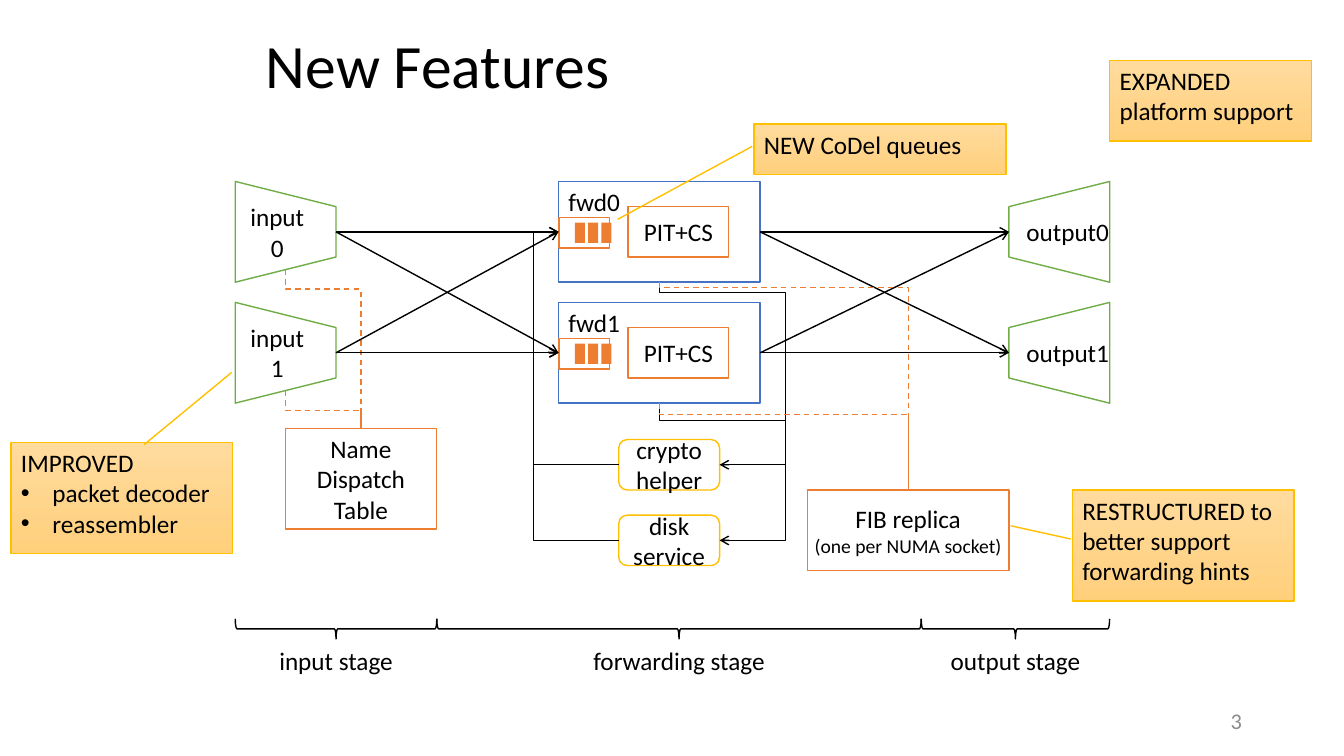
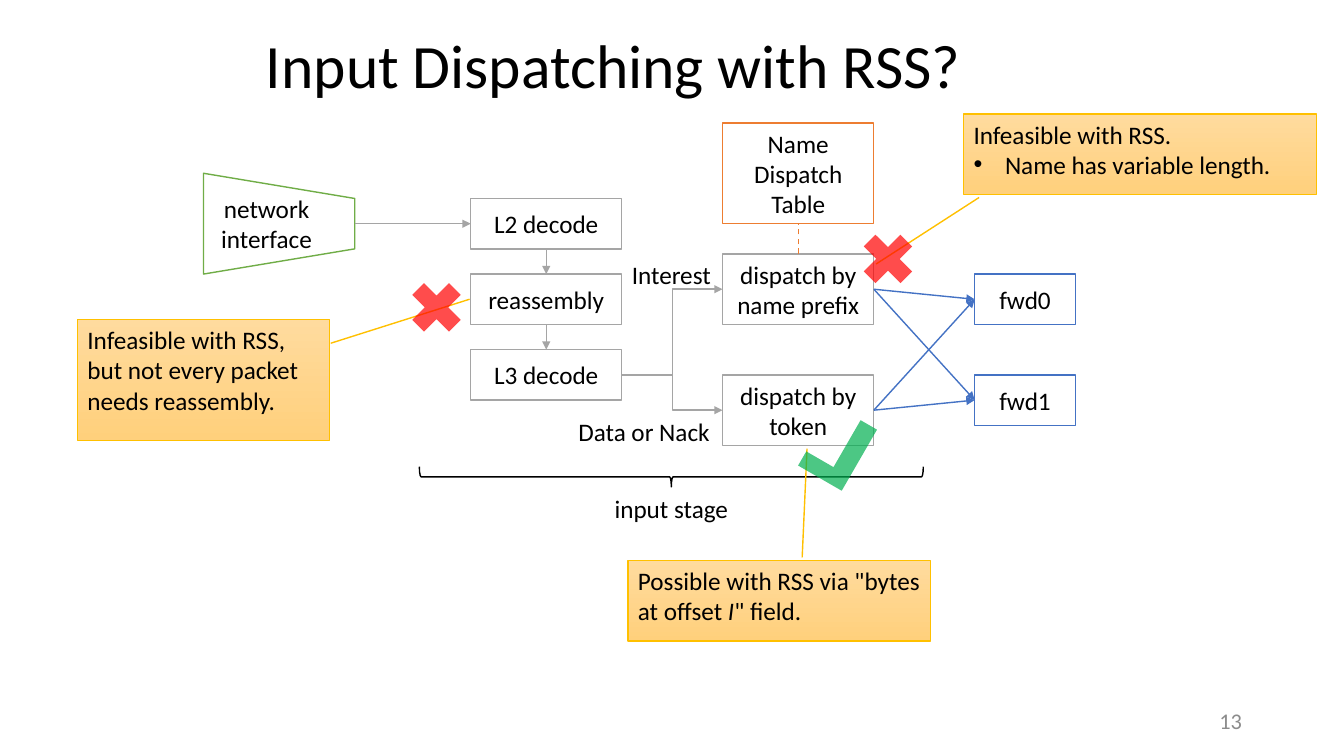
from collections import namedtuple
from dataclasses import dataclass

from lxml.etree import SubElement
from pptx import Presentation
from pptx.dml.color import RGBColor
from pptx.enum.dml import MSO_LINE
from pptx.enum.shapes import MSO_CONNECTOR, MSO_SHAPE
from pptx.enum.text import MSO_ANCHOR, MSO_AUTO_SIZE, PP_ALIGN
from pptx.oxml.ns import qn
from pptx.util import Pt

COLORS = {
    "black": "000000", "white": "FFFFFF", "number": "8C8C8C", "gray": "A5A5A5",
    "green": "70AD47", "orange": "ED7D31", "blue": "4472C4", "gold": "FFC000",
    "note_top": "FFDB9E", "note_bottom": "FFD07C", "wrong": "FF0000", "right": "00B050",
}
FONT = "Calibri"
TOP, LEFT, BOTTOM, RIGHT = range(4)
TOP_LEFT = {"align": PP_ALIGN.LEFT, "anchor": MSO_ANCHOR.TOP}

Box = namedtuple("Box", "left top width height")
End = namedtuple("End", "x y shape side", defaults=(None, 0))
Span = namedtuple("Span", "text italic", defaults=(False,))


@dataclass
class Para:
    spans: tuple
    size: float = 18
    bullet: bool = False


def rgb(name: str) -> RGBColor:
    return RGBColor.from_string(COLORS[name])


def write(shape, text, *, size=18, color="black", align=PP_ALIGN.CENTER,
          anchor=MSO_ANCHOR.MIDDLE, wrap=True, vertical=None, spacing=None, inset=7.2):
    """Fill a shape with one string, or with a list of strings and Paras."""
    frame = shape.text_frame
    frame.word_wrap = wrap
    frame.vertical_anchor = anchor
    frame.margin_left = Pt(inset)
    if vertical:
        shape.element.find(".//" + qn("a:bodyPr")).set("vert", vertical)
    for index, item in enumerate([text] if isinstance(text, str) else text):
        source = Para((Span(item),), size) if isinstance(item, str) else item
        para = frame.add_paragraph() if index else frame.paragraphs[0]
        para.alignment = align
        if spacing:
            para.line_spacing = spacing
        if source.bullet:
            properties = para._p.get_or_add_pPr()
            properties.set("marL", str(int(Pt(22.5))))
            properties.set("indent", str(-int(Pt(22.5))))
            SubElement(properties, qn("a:buFont")).set("typeface", "Arial")
            SubElement(properties, qn("a:buChar")).set("char", "•")
        for span in source.spans:
            run = para.add_run()
            run.text = span.text
            run.font.name = FONT
            run.font.size = Pt(source.size)
            run.font.italic = span.italic
            run.font.color.rgb = rgb(color)


def add_label(page, box: Box, text: str, **text_format):
    label = page.shapes.add_textbox(*map(Pt, box))
    write(label, text, **text_format)
    return label


def add_figure(page, box: Box, text=None, *, kind=MSO_SHAPE.RECTANGLE, fill="white",
               line=None, rotation=0, opacity=None, **text_format):
    """Draw a shape so that it covers the box after any quarter turn."""
    left, top, width, height = box
    if rotation in (90, 270):
        left, top = left + (width - height) / 2, top + (height - width) / 2
        width, height = height, width
    figure = page.shapes.add_shape(kind, Pt(left), Pt(top), Pt(width), Pt(height))
    figure.shadow.inherit = False
    figure.rotation = rotation
    if fill:
        figure.fill.solid()
        figure.fill.fore_color.rgb = rgb(fill)
    else:
        figure.fill.background()
    if line:
        figure.line.color.rgb = rgb(line)
        figure.line.width = Pt(1)
    else:
        figure.line.fill.background()
    if opacity:
        tint = figure.element.spPr.find(qn("a:solidFill")).find(qn("a:srgbClr"))
        SubElement(tint, qn("a:alpha")).set("val", str(opacity * 1000))
    if text:
        write(figure, text, **text_format)
    return figure


def add_port(page, box: Box, text: str, *, output=False):
    """Draw a trapezoid that narrows towards the forwarders."""
    add_figure(page, box, text, kind=MSO_SHAPE.TRAPEZOID, line="green", wrap=not output,
               rotation=270 if output else 90, vertical="vert" if output else "vert270")


def add_brace(page, left: float, top: float, width: float, text: str):
    add_figure(page, Box(left, top, width, 14.4), text, kind=MSO_SHAPE.RIGHT_BRACE, fill=None,
               line="black", rotation=90, vertical="vert270", wrap=False, inset=57.6)


def add_note(page, box: Box, paras: list, pointer: tuple = ()):
    kind = MSO_SHAPE.LINE_CALLOUT_1 if pointer else MSO_SHAPE.RECTANGLE
    figure = add_figure(page, box, paras, kind=kind, line="gold", **TOP_LEFT)
    for index, value in enumerate(pointer):
        figure.adjustments[index] = value
    figure.fill.gradient()
    figure.fill.gradient_angle = 270
    for stop, name in zip(figure.fill.gradient_stops, ("note_top", "note_bottom")):
        stop.color.rgb = rgb(name)


def side(shape, number: int) -> End:
    across, down = ((0.5, 0), (0, 0.5), (0.5, 1), (1, 0.5))[number]
    return End((shape.left + across * shape.width) / Pt(1),
               (shape.top + down * shape.height) / Pt(1), shape, number)


def add_line(page, start: End, end: End, color: str, *, head=None, dashed=False,
             kind=MSO_CONNECTOR.STRAIGHT, bends=()):
    line = page.shapes.add_connector(kind, Pt(start.x), Pt(start.y), Pt(end.x), Pt(end.y))
    if kind == MSO_CONNECTOR.STRAIGHT:
        if start.shape is not None:
            line.begin_connect(start.shape, start.side)
        if end.shape is not None:
            line.end_connect(end.shape, end.side)
    line.line.color.rgb = rgb(color)
    line.line.width = Pt(1)
    if dashed:
        line.line.dash_style = MSO_LINE.DASH
    properties = line.element.spPr
    if head:
        SubElement(properties.find(qn("a:ln")), qn("a:tailEnd")).set("type", head)
    SubElement(properties, qn("a:effectLst"))
    geometry = properties.find(qn("a:prstGeom"))
    for number, bend in enumerate(bends, 1):
        guide = SubElement(geometry.find(qn("a:avLst")), qn("a:gd"))
        guide.set("name", f"adj{number}")
        guide.set("fmla", f"val {round(bend * 100000)}")
    if len(bends) == 2:
        geometry.set("prst", "bentConnector4")
    return line


def add_drop(page, start: End, end: End, color: str, drop: float, *, reach=None, **style):
    """Draw an elbow that first goes down by drop, then across, by reach if given."""
    width, height = end.x - start.x, end.y - start.y
    left, top = (start.x + end.x - height) / 2, (start.y + end.y - width) / 2
    bends = (drop / height,) + ((reach / width,) if reach else ())
    line = add_line(page, End(left, top), End(left + height, top + width), color,
                    kind=MSO_CONNECTOR.ELBOW, bends=bends, **style)
    frame = line.element.spPr.find(qn("a:xfrm"))
    frame.set("rot", str(270 * 60000))
    frame.set("flipH", "1")


def add_page(deck, title: str, number: str):
    page = deck.slides.add_slide(deck.slide_layouts[6])
    add_label(page, Box(182.9, 10.8, 711.4, 77), title, size=44,
              align=PP_ALIGN.LEFT, spacing=0.9)
    add_label(page, Box(678.2, 500.4, 216, 28.8), number, size=16,
              color="number", align=PP_ALIGN.RIGHT)
    return page


def add_forwarder(page, left: float, top: float, name: str):
    forwarder = add_figure(page, Box(left, top, 144, 72), name, line="blue", **TOP_LEFT)
    add_figure(page, Box(left + 49.6, top + 18, 72, 36), "PIT+CS", line="orange")
    add_figure(page, Box(left + 0.3, top + 25.9, 36, 21.6), line="orange")
    for index in range(3):
        add_figure(page, Box(left + 11.6 + 9.5 * index, top + 29.5, 7.2, 14.4), fill="orange")
    return forwarder


def build_features(deck):
    page = add_page(deck, "New Features", "3")
    rows = (129.6, 216)
    input_left, forward_left, output_left = 168, 399, 720.7
    forwarders, helpers = [], []
    for index, top in enumerate(rows):
        add_port(page, Box(input_left, top, 72, 72), f"input{index}")
        add_port(page, Box(output_left, top, 72, 72), f"output{index}", output=True)
        forwarders.append(add_forwarder(page, forward_left, top, f"fwd{index}"))
    table = add_figure(page, Box(203.8, 306, 108, 72), "Name Dispatch Table", line="orange")
    replica = add_figure(page, Box(576.7, 350, 144, 57.6),
                         ["FIB replica", Para((Span("(one per NUMA socket)"),), 14)],
                         line="orange", wrap=False)
    for index, words in enumerate((["crypto", "helper"], ["disk", "service"])):
        helpers.append(add_figure(page, Box(442, 314 + 54 * index, 72, 36), words, fill=None,
                                  kind=MSO_SHAPE.ROUNDED_RECTANGLE, line="gold", wrap=False))

    for top in rows:
        for forwarder in forwarders:
            add_line(page, End(input_left + 72, top + 36), side(forwarder, LEFT),
                     "black", head="arrow")
            add_line(page, side(forwarder, RIGHT), End(output_left, top + 36),
                     "black", head="arrow")
        add_drop(page, End(input_left + 36, top + 63), side(table, TOP),
                 "orange", 14, dashed=True)
    drops = ((7.5, 3.5), (12.5, 8))
    for forwarder, helper, (helper_drop, replica_drop) in zip(forwarders, helpers[::-1], drops):
        add_drop(page, side(forwarder, BOTTOM), side(helper, RIGHT), "black", helper_drop,
                 reach=90, head="arrow")
        add_drop(page, side(forwarder, BOTTOM), side(replica, TOP), "orange", replica_drop,
                 dashed=True)
        add_line(page, side(helper, LEFT), side(forwarders[helpers.index(helper)], LEFT),
                 "black", head="arrow", kind=MSO_CONNECTOR.ELBOW, bends=(1.42,))

    stops = (168, 312, 658, 792.6)
    for name, left, right in zip(("input", "forwarding", "output"), stops, stops[1:]):
        add_brace(page, left, 442, right - left, f"{name} stage")
    add_note(page, Box(538.6, 88.6, 180, 36), ["NEW CoDel queues"],
             (0.443, -0.007, 1.891, -0.541))
    add_note(page, Box(766, 350, 158.4, 79.2),
             ["RESTRUCTURED to better support forwarding hints"], (0.443, -0.007, 0.323, -0.278))
    changes = [Para((Span(name),), bullet=True) for name in ("packet decoder", "reassembler")]
    add_note(page, Box(7.9, 316, 158.4, 79.2), ["IMPROVED", *changes],
             (0.021, 0.6, -0.631, 0.995))
    add_note(page, Box(792.7, 43.2, 144, 57.6), ["EXPANDED platform support"])


def build_dispatching(deck):
    page = add_page(deck, "Input Dispatching with RSS?", "13")
    steps = [add_figure(page, Box(336.2, 141.8 + 54 * index, 108, 36), name, line="gray")
             for index, name in enumerate(("L2 decode", "reassembly", "L3 decode"))]
    table = add_figure(page, Box(516.2, 87.8, 108, 72), "Name Dispatch Table", line="orange")
    dispatchers = [
        add_figure(page, Box(516.2, 181.4 + 86.4 * index, 108, 50.4), f"dispatch by {key}",
                   line="gray") for index, key in enumerate(("name prefix", "token"))]
    forwarders = [add_figure(page, Box(696.2, 195.8 + 72 * index, 72, 36), f"fwd{index}",
                             line="blue") for index in range(2)]
    add_port(page, Box(145.4, 123.8, 108, 72), "network interface")

    add_line(page, End(253.4, 159.8), side(steps[0], LEFT), "gray", head="triangle")
    for upper, lower in zip(steps, steps[1:]):
        add_line(page, side(upper, BOTTOM), side(lower, TOP), "gray", head="triangle")
    add_line(page, side(dispatchers[0], TOP), side(table, BOTTOM), "orange", dashed=True)
    for dispatcher in dispatchers:
        add_line(page, side(steps[-1], RIGHT), side(dispatcher, LEFT), "gray",
                 head="triangle", kind=MSO_CONNECTOR.ELBOW)
        for forwarder in forwarders:
            add_line(page, side(dispatcher, RIGHT), side(forwarder, LEFT), "blue",
                     head="triangle")

    for text, box in (("Interest", Box(444.2, 181.4, 71.3, 28.8)),
                      ("Data or Nack", Box(406, 294, 109.4, 28.8))):
        label = add_label(page, box, text, wrap=False, **TOP_LEFT)
        label.text_frame.auto_size = MSO_AUTO_SIZE.SHAPE_TO_FIT_TEXT
    add_brace(page, 299.5, 333.4, 360, "input stage")
    add_note(page, Box(55.4, 228.2, 180, 86.4),
             ["Infeasible with RSS, but not every packet needs reassembly."],
             (0.197, 1.005, -0.167, 1.556))
    offset = (Span('Possible with RSS via "bytes at offset '), Span("I", True), Span('" field.'))
    add_note(page, Box(448.6, 400.3, 216, 57.6), [Para(offset)], (-0.037, 0.576, -1.386, 0.592))
    add_note(page, Box(688.3, 81.4, 252, 57.6),
             ["Infeasible with RSS.", Para((Span("Name has variable length."),), bullet=True)],
             (1.036, 0.044, 1.861, -0.248))
    for left, top in ((609.1, 159.8), (286.6, 194.4)):
        add_figure(page, Box(left, top, 50.4, 50.4), kind=MSO_SHAPE.MATH_MULTIPLY,
                   fill="wrong", opacity=70)
    check = add_figure(page, Box(573.1, 301.7, 50.4, 36), kind=MSO_SHAPE.CORNER,
                       fill="right", rotation=300, opacity=70)
    check.adjustments[0], check.adjustments[1] = 0.375, 0.325


def main():
    deck = Presentation()
    deck.slide_width, deck.slide_height = Pt(960), Pt(540)
    build_features(deck)
    build_dispatching(deck)
    deck.save("out.pptx")


if __name__ == "__main__":
    main()
